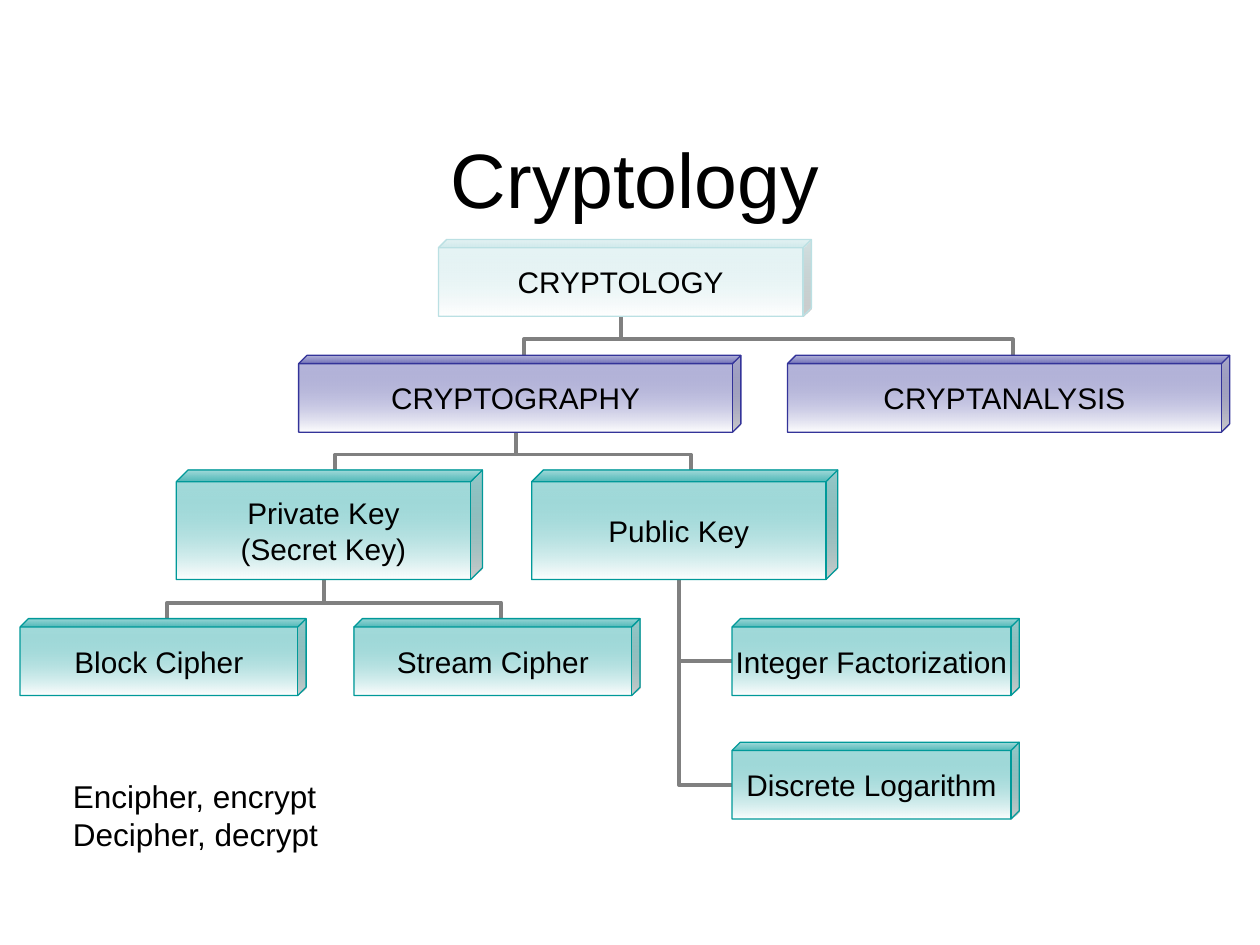
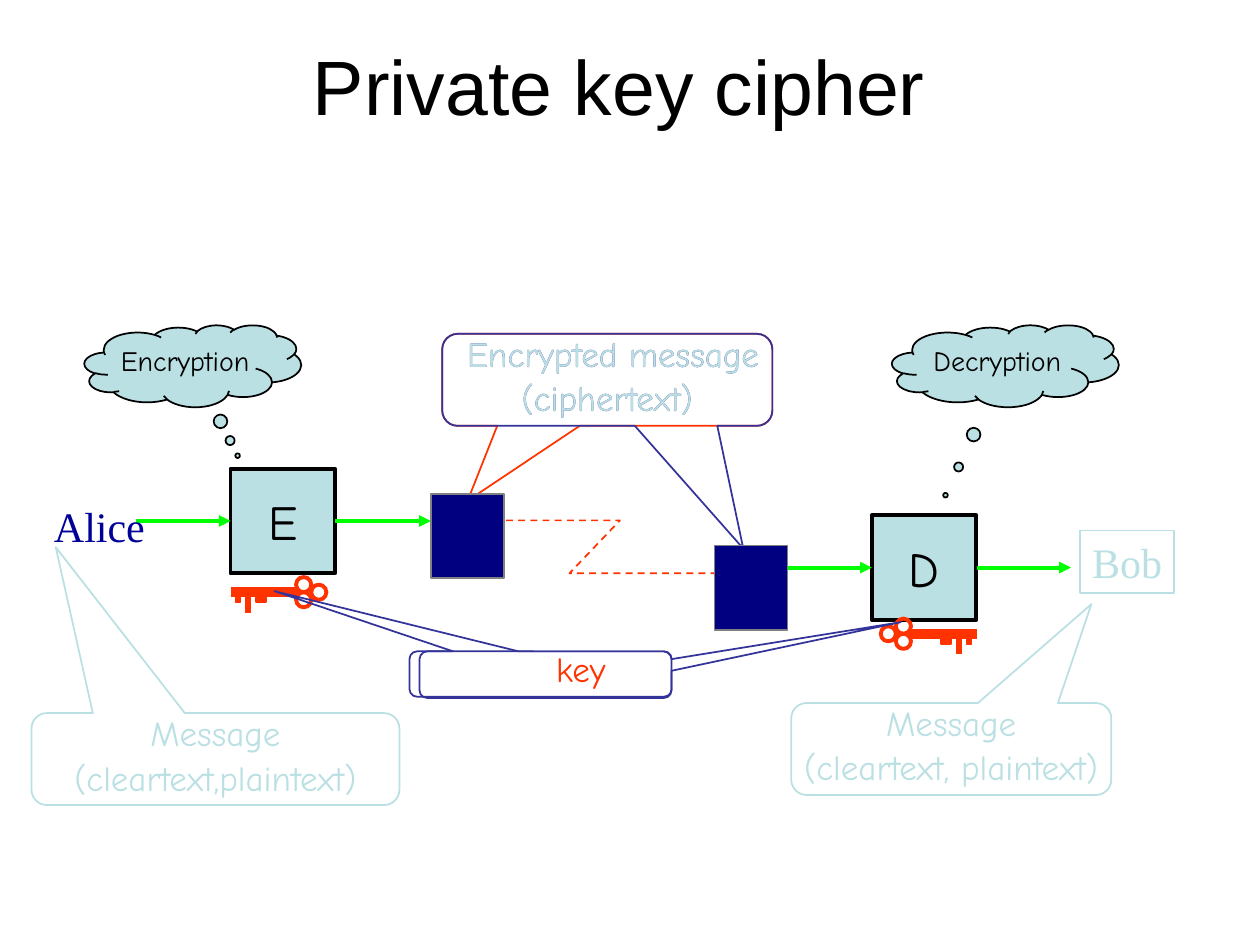
from lxml.etree import SubElement
from pptx import Presentation
from pptx.dml.color import RGBColor
from pptx.enum.dml import MSO_LINE
from pptx.enum.shapes import MSO_CONNECTOR, MSO_SHAPE
from pptx.enum.text import MSO_ANCHOR, PP_ALIGN
from pptx.oxml.ns import qn
from pptx.util import Inches, Pt

COLORS = {
    "black": "000000", "white": "FFFFFF", "gray": "808080",
    "pale": "BBE0E3", "indigo": "333399", "teal": "009999",
    "green": "00FF00", "red": "FF3300", "navy": "000080", "blue": "000099",
}
SANS, COMIC, SERIF = "Arial", "Comic Neue", "Times New Roman"
CUBE_DEPTH = 0.108
KEY_TEETH = [(0.04, 0.04, 0.08, 1), (0.12, 0.04, 0.16, 0.75), (0.2, 0.08, 0.08, 1)]
KEY_RINGS = [(0.64, -0.06), (0.52, -0.12), (0.52, 0)]


def rgb(name):
    return RGBColor.from_string(COLORS[name])


def write(sp, text, size=20, font=SANS, color="black", align=PP_ALIGN.CENTER,
          anchor=MSO_ANCHOR.MIDDLE, insets=(0.1, 0.05, 0.1, 0.05), wrap=False,
          spacing=(), before=0):
    """Fill a shape with one paragraph per line of text."""
    tf = sp.text_frame
    tf.word_wrap = wrap
    tf.vertical_anchor = anchor
    tf.margin_left, tf.margin_top, tf.margin_right, tf.margin_bottom = map(Inches, insets)
    for i, line in enumerate(text.split("\n")):
        p = tf.add_paragraph() if i else tf.paragraphs[0]
        p.alignment = align
        if spacing:
            p.line_spacing = spacing[i]
        if i and before:
            p.space_before = Pt(before)
        r = p.add_run()
        r.text = line
        r.font.size, r.font.name = Pt(size), font
        r.font.color.rgb = rgb(color)


def text_box(s, box, text, **fmt):
    write(s.shapes.add_textbox(*map(Inches, box)), text, **fmt)


def title(s, box, text):
    text_box(s, box, text, size=44, anchor=MSO_ANCHOR.BOTTOM, wrap=True)


def outline(sp, color, width):
    sp.line.color.rgb = rgb(color)
    sp.line.width = Pt(width)


def shape(s, kind, box, fill=None, line="black", width=1, adj=()):
    sp = s.shapes.add_shape(kind, *map(Inches, box))
    sp.shadow.inherit = False
    if fill:
        sp.fill.solid()
        sp.fill.fore_color.rgb = rgb(fill)
    else:
        sp.fill.background()
    outline(sp, line, width)
    for i, value in enumerate(adj):
        sp.adjustments[i] = value
    return sp


def connector(s, start, end, color, width, kind=MSO_CONNECTOR.STRAIGHT, arrow=False):
    c = s.shapes.add_connector(kind, *map(Inches, (*start, *end)))
    outline(c, color, width)
    if arrow:
        SubElement(c.line._get_or_add_ln(), qn("a:tailEnd"), type="triangle")
    SubElement(c._element.spPr, qn("a:effectLst"))
    return c


# Cryptology tree
def cube(s, box, text, color, side_inset=0.07):
    sp = shape(s, MSO_SHAPE.CUBE, box, line=color, width=0.75, adj=[CUBE_DEPTH])
    sp.fill.gradient()
    sp.fill.gradient_angle = 270
    first, last = sp.fill.gradient_stops
    first.color.rgb, last.color.rgb = rgb(color), rgb("white")
    tint = next(sp._element.spPr.find(qn("a:gradFill")).iter(qn("a:srgbClr")))
    SubElement(tint, qn("a:alpha"), val="40000")
    write(sp, text, size=17, insets=(side_inset, 0.04, side_inset, 0.04))


def cube_sites(box):
    """Middle of a cube's top edge, front bottom edge and front left edge."""
    x, y, w, h = box
    depth = CUBE_DEPTH * min(w, h)
    return ((x + (w + depth) / 2, y), (x + (w - depth) / 2, y + h),
            (x, y + (h + depth) / 2))


def branch_down(s, parent, child):
    """Elbow that leaves the child upwards and ends under the parent."""
    (x1, y1), (x2, y2) = cube_sites(child)[0], cube_sites(parent)[1]
    cx, cy = (x1 + x2) / 2, (y1 + y2) / 2
    half_w, half_h = (y1 - y2) / 2, abs(x1 - x2) / 2
    turn = 270 if x1 > x2 else 90
    if turn == 90:
        half_w = -half_w
    c = connector(s, (cx - half_w, cy + half_h), (cx + half_w, cy - half_h),
                  "gray", 2.25, MSO_CONNECTOR.ELBOW)
    c._element.spPr.xfrm.set("rot", str(turn * 60000))
    av = c._element.spPr.prstGeom.get_or_add_avLst()
    SubElement(av, qn("a:gd"), name="adj1", fmla="val 40800")


def branch_side(s, parent, child):
    """Elbow from the child's left side up to the parent's bottom."""
    c = connector(s, cube_sites(parent)[1], cube_sites(child)[2],
                  "gray", 2.25, MSO_CONNECTOR.ELBOW)
    c._element.spPr.prstGeom.set("prst", "bentConnector2")
    c._element.spPr.xfrm.set("rot", str(180 * 60000))


def cryptology_slide(s):
    title(s, (0.83, 1.17, 8.42, 0.66), "Cryptology")
    root = (3.48, 1.9, 2.96, 0.61)
    cryptography, cryptanalysis = [(x, 2.82, 3.51, 0.61) for x in (2.37, 6.25)]
    private, public = [(x, 3.73, 2.43, 0.87) for x in (1.4, 4.22)]
    block, stream = [(x, 4.91, 2.27, 0.61) for x in (0.16, 2.81)]
    factoring, logarithm = [(5.81, y, 2.28, 0.61) for y in (4.91, 5.89)]

    for child in (logarithm, factoring):
        branch_side(s, public, child)
    for parent, children in ((private, (stream, block)),
                             (cryptography, (public, private)),
                             (root, (cryptanalysis, cryptography))):
        for child in children:
            branch_down(s, parent, child)

    cube(s, root, "CRYPTOLOGY", "pale")
    cube(s, cryptography, "CRYPTOGRAPHY", "indigo")
    cube(s, cryptanalysis, "CRYPTANALYSIS", "indigo")
    cube(s, private, "Private Key\n(Secret Key)", "teal")
    cube(s, public, "Public Key", "teal")
    cube(s, block, "Block Cipher", "teal")
    cube(s, stream, "Stream Cipher", "teal")
    cube(s, factoring, "Integer Factorization", "teal", 0.05)
    cube(s, logarithm, "Discrete Logarithm", "teal", 0.06)
    text_box(s, (0.48, 6.12, 2.16, 0.7), "Encipher, encrypt\nDecipher, decrypt",
             size=18, align=PP_ALIGN.LEFT, anchor=MSO_ANCHOR.TOP)


# Private key cipher
def machine(s, x, y, letter):
    sp = shape(s, MSO_SHAPE.RECTANGLE, (x, y, 0.83, 0.83), "pale", width=2.25)
    write(sp, letter, size=28, font=COMIC)
    return sp


def arrow(s, x, y, begin=None, end=None):
    c = connector(s, (x, y), (x + 0.75, y), "green", 2.25, arrow=True)
    if begin:
        c.begin_connect(begin, 3)
    if end:
        c.end_connect(end, 1)


def callout(s, box, tip, line, text="", color="pale", indent=0, wrap=False):
    sp = shape(s, MSO_SHAPE.ROUNDED_RECTANGULAR_CALLOUT, box, line=line,
               adj=(*tip, 0.167))
    if text:
        write(sp, text, font=COMIC, color=color, insets=(indent, 0.05, 0, 0.05),
              spacing=(0.7, 0.5), before=12.5, wrap=wrap)


def cloud(s, box, tip, text):
    sp = shape(s, MSO_SHAPE.CLOUD_CALLOUT, box, "pale", adj=tip)
    write(sp, text, size=16, font=COMIC, insets=(0, 0.05, 0, 0.05),
          spacing=(0.7,), wrap=True)


def key(s, x, y, way):
    """Key with its tip at x, y; way is 1 to the right, -1 to the left."""
    def left(offset, width):
        return x + offset if way > 0 else x - offset - width

    for dx, dy in KEY_RINGS:
        shape(s, MSO_SHAPE.OVAL, (left(dx, 0.12), y + dy, 0.12, 0.12),
              line="red", width=2.25)
    neck = x + way * 0.52
    connector(s, (x, y), (neck, y), "red", 6)
    connector(s, (neck, y), (neck + way * 0.08, y), "red", 2.25)
    for dx, w, h, line_width in KEY_TEETH:
        shape(s, MSO_SHAPE.RECTANGLE, (left(dx, w), y, w, h), "red", "red", line_width)


def channel(s, points):
    start, *rest = [tuple(map(Inches, pt)) for pt in points]
    fb = s.shapes.build_freeform(*start)
    fb.add_line_segments(rest, close=False)
    sp = fb.convert_to_shape()
    sp.shadow.inherit = False
    sp.fill.background()
    outline(sp, "red", 1)
    sp.line.dash_style = MSO_LINE.DASH


def private_key_slide(s):
    # Machines and message flow
    e = machine(s, 1.83, 3.72, "E")
    d = machine(s, 6.92, 4.09, "D")
    e_mid, d_mid = 3.72 + 0.83 / 2, 4.09 + 0.83 / 2
    arrow(s, 1.08, e_mid, end=e)
    arrow(s, 2.67, e_mid, begin=e)
    arrow(s, 6.17, d_mid, end=d)
    arrow(s, 7.75, d_mid, begin=d)
    channel(s, [(3.92, 4.13), (4.92, 4.13), (4.52, 4.55), (5.67, 4.55)])

    # Message callouts and clouds
    callout(s, (6.28, 5.58, 2.54, 0.73), (0.438, -1.575), "pale",
            "Message\n(cleartext, plaintext)")
    for tip, line, color in (((-0.423, 1.314), "red", "indigo"),
                             ((0.412, 1.835), "indigo", "pale")):
        callout(s, (3.51, 2.65, 2.62, 0.73), tip, line,
                " Encrypted message\n(ciphertext)", color)
    cloud(s, (0.67, 2.58, 1.72, 0.65), (0.207, 1.095), "Encryption")
    cloud(s, (7.08, 2.58, 1.8, 0.65), (-0.264, 1.577), "Decryption")

    # Shared key
    key(s, 1.83, 4.7, 1)
    key(s, 7.75, 5.03, -1)
    callout(s, (3.33, 5.17, 2, 0.37), (1.41, -1.127), "indigo")
    callout(s, (3.25, 5.17, 2.08, 0.36), (-1.016, -1.831), "indigo",
            "key", "red", indent=0.64, wrap=True)

    # People and ciphertext blocks
    name = dict(size=24, font=SERIF, align=PP_ALIGN.LEFT, anchor=MSO_ANCHOR.TOP)
    text_box(s, (0.33, 3.92, 0.92, 0.5), "Alice", color="blue", **name)
    bob = shape(s, MSO_SHAPE.RECTANGLE, (8.57, 4.21, 0.75, 0.5), line="pale")
    write(bob, "Bob", color="pale", **name)
    for x, y in ((3.42, 3.92), (5.67, 4.33)):
        shape(s, MSO_SHAPE.RECTANGLE, (x, y, 0.58, 0.67), "navy", "gray")
    title(s, (0.25, 0.17, 9.33, 0.92), "Private key cipher")
    callout(s, (0.25, 5.66, 2.92, 0.73), (-0.434, -2.304), "pale",
            "Message\n(cleartext,plaintext)", wrap=True)


def main():
    prs = Presentation()
    prs.slide_width, prs.slide_height = Inches(10), Inches(7.5)
    for build in (cryptology_slide, private_key_slide):
        build(prs.slides.add_slide(prs.slide_layouts[6]))
    prs.save("out.pptx")


if __name__ == "__main__":
    main()
